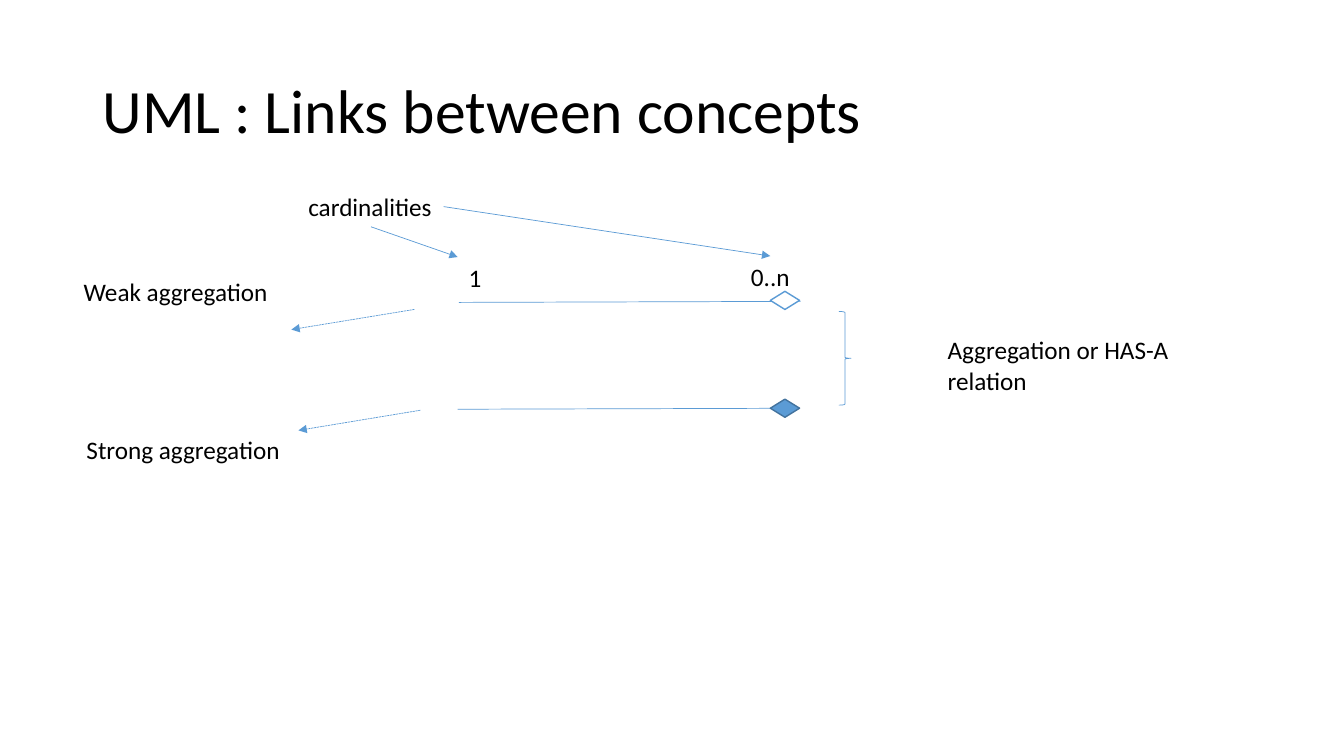
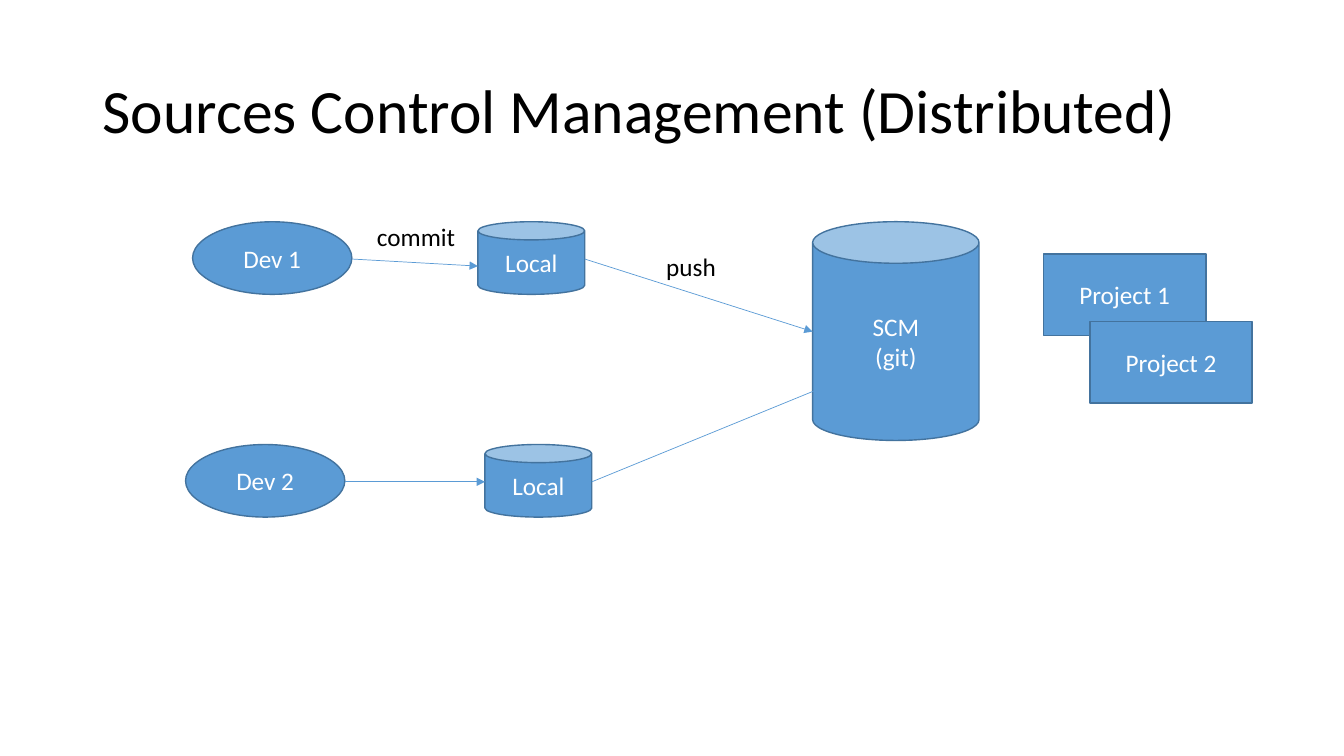
from lxml import etree
from pptx import Presentation
from pptx.dml.color import RGBColor
from pptx.enum.dml import MSO_LINE
from pptx.enum.shapes import MSO_CONNECTOR, MSO_SHAPE
from pptx.enum.text import MSO_ANCHOR, MSO_AUTO_SIZE, PP_ALIGN
from pptx.oxml.ns import qn
from pptx.util import Inches, Pt

STRAIGHT = MSO_CONNECTOR.STRAIGHT
DASHED = MSO_LINE.SQUARE_DOT
DIAMOND = MSO_SHAPE.FLOWCHART_DECISION
BRACE = MSO_SHAPE.RIGHT_BRACE
CAN = MSO_SHAPE.CAN
OVAL = MSO_SHAPE.OVAL
RECTANGLE = MSO_SHAPE.RECTANGLE
MIDDLE = MSO_ANCHOR.MIDDLE
TOP = MSO_ANCHOR.TOP
CENTER = PP_ALIGN.CENTER
LEFT = PP_ALIGN.LEFT
FIT_SHAPE = MSO_AUTO_SIZE.SHAPE_TO_FIT_TEXT

FONT = "Calibri"
BLACK = "000000"
WHITE = "FFFFFF"
BLUE = "5B9BD5"
DARK_BLUE = "43739E"


def color(value):
    """Turn a hex string into a colour."""
    return RGBColor.from_string(value)


def box(left, top, width, height):
    """Turn a place and size in inches into lengths."""
    return Inches(left), Inches(top), Inches(width), Inches(height)


class Deck:
    """Hold the shared style and the current slide."""

    def __init__(self):
        """Start a wide presentation."""
        self.presentation = Presentation()
        self.presentation.slide_width = Inches(13.33)
        self.presentation.slide_height = Inches(7.5)
        self.slide = None

    def new_slide(self, title):
        """Add a blank slide with the shared title."""
        layout = self.presentation.slide_layouts[6]
        self.slide = self.presentation.slides.add_slide(layout)
        shape = self.slide.shapes.add_textbox(*box(0.92, 0.4, 11.5, 1.45))
        shape.text_frame.word_wrap = True
        self.add_lines(shape.text_frame, [title], 44, BLACK, anchor=MIDDLE)
        shape.text_frame.paragraphs[0].line_spacing = 0.9

    def add_lines(self, frame, lines, size, ink, align=LEFT, anchor=TOP):
        """Add one paragraph for each line of text."""
        frame.vertical_anchor = anchor
        for index, line in enumerate(lines):
            paragraph = frame.add_paragraph() if index else frame.paragraphs[0]
            paragraph.alignment = align
            run = paragraph.add_run()
            run.text = line
            run.font.name = FONT
            run.font.size = Pt(size)
            run.font.color.rgb = color(ink)

    def label(self, lines, left, top, width, height=0.4):
        """Add black text that does not wrap."""
        shape = self.slide.shapes.add_textbox(*box(left, top, width, height))
        shape.text_frame.word_wrap = False
        shape.text_frame.auto_size = FIT_SHAPE
        self.add_lines(shape.text_frame, lines, 18, BLACK)

    def node(self, kind, place, lines=(), fill=BLUE, border=DARK_BLUE, weight=1):
        """Add a preset shape with optional centred white text."""
        shape = self.slide.shapes.add_shape(kind, *box(*place))
        shape.shadow.inherit = False
        if fill:
            shape.fill.solid()
            shape.fill.fore_color.rgb = color(fill)
        else:
            shape.fill.background()
        shape.line.color.rgb = color(border)
        shape.line.width = Pt(weight)
        self.add_lines(shape.text_frame, lines, 18, WHITE, CENTER, MIDDLE)

    def link(self, start, end, arrow=True, dash=None):
        """Add a thin straight line, by default with an arrowhead."""
        points = [Inches(value) for value in (*start, *end)]
        connector = self.slide.shapes.add_connector(STRAIGHT, *points)
        connector.line.color.rgb = color(BLUE)
        connector.line.width = Pt(0.5)
        if dash:
            connector.line.dash_style = dash
        properties = connector._element.spPr
        if arrow:
            outline = properties.find(qn("a:ln"))
            etree.SubElement(outline, qn("a:tailEnd"), type="triangle")
        etree.SubElement(properties, qn("a:effectLst"))

    def save(self):
        """Save the presentation."""
        self.presentation.save("out.pptx")


def build_links_slide(deck):
    """Show weak and strong aggregation in UML."""
    deck.new_slide("UML : Links between concepts")
    aggregations = [
        (4.55, 3, 2.89, WHITE, BLUE),
        (4.54, 4.06, 3.96, BLUE, DARK_BLUE),
    ]
    for left, line_top, diamond_top, fill, border in aggregations:
        deck.link((left, line_top), (left + 3.39, line_top - 0.01), arrow=False)
        deck.node(DIAMOND, (7.64, diamond_top, 0.29, 0.18), fill=fill, border=border)

    deck.label(["0..n"], 7.35, 2.54, 0.59)
    deck.label(["1"], 4.55, 2.55, 0.33)
    deck.label(["cardinalities"], 2.96, 1.85, 1.44)
    deck.link((3.68, 2.25), (4.54, 2.55))
    deck.link((4.4, 2.05), (7.64, 2.54))

    deck.label(["Aggregation or HAS-A", "relation"], 9.3, 3.27, 2.42, 0.71)
    deck.node(BRACE, (8.32, 3.09, 0.12, 0.93), fill=None, border=BLUE, weight=0.5)

    deck.label(["Weak aggregation"], 0.73, 2.69, 2.05)
    deck.label(["Strong aggregation"], 0.76, 4.26, 2.14)
    deck.link((4.11, 3.07), (2.89, 3.27), dash=DASHED)
    deck.link((4.17, 4.07), (2.96, 4.27), dash=DASHED)


def build_control_slide(deck):
    """Show developers pushing through local stores to a shared one."""
    deck.new_slide("Sources Control Management (Distributed)")
    deck.node(CAN, (8.06, 2.2, 1.65, 2.17), ["SCM", "(git)"])
    projects = [("Project 1", 10.35, 2.52), ("Project 2", 10.81, 3.19)]
    for name, left, top in projects:
        deck.node(RECTANGLE, (left, top, 1.61, 0.81), [name])

    developers = [
        ("Dev 1", 1.91, 4.74, 2.2, 2.64, (8.06, 3.29)),
        ("Dev 2", 1.84, 4.81, 4.41, 4.78, (8.29, 3.79)),
    ]
    for name, left, local_left, top, commit_end, push_end in developers:
        middle = top + 0.37
        deck.node(OVAL, (left, top, 1.58, 0.72), [name])
        deck.node(CAN, (local_left, top, 1.06, 0.72), ["Local"])
        deck.link((left + 1.58, middle), (local_left, commit_end))
        deck.link((local_left + 1.06, middle), push_end)

    deck.label(["commit"], 3.64, 2.15, 0.99)
    deck.label(["push"], 6.51, 2.44, 0.7)


def main():
    """Build both slides and save them."""
    deck = Deck()
    build_links_slide(deck)
    build_control_slide(deck)
    deck.save()


main()
